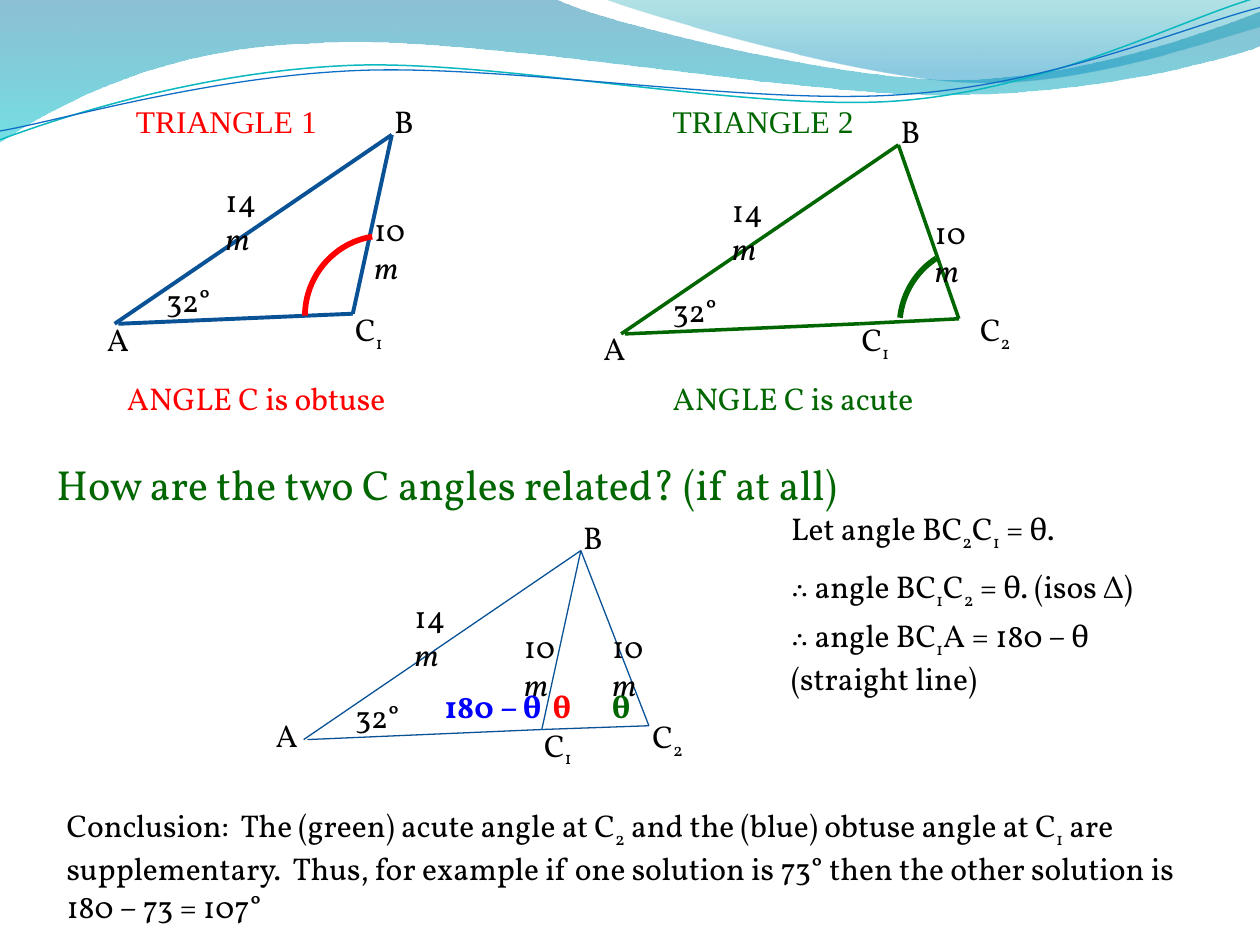
from math import cos, radians, sin

from pptx import Presentation
from pptx.dml.color import RGBColor
from pptx.enum.shapes import MSO_CONNECTOR, MSO_SHAPE
from pptx.enum.text import MSO_AUTO_SIZE
from pptx.oxml.ns import qn
from pptx.oxml.xmlchemy import OxmlElement
from pptx.util import Inches, Pt

COLORS = {
    "black": "000000", "red": "FF0000", "green": "006600", "blue": "0000FF",
    "navy": "095295", "wave_teal": "0AB8BF", "wave_blue": "0F6FC6",
    "deep": "0074A1", "cyan": "00C6CF", "teal": "00A1A9", "sky": "008BBF",
}
SERIF = "Vollkorn"
UNITS = 1000
WAVE_TILT = 2.7


def rgb(name):
    """Return the named colour."""
    return RGBColor.from_string(COLORS[name])


def add_text(page, left, top, width, spans, color="black", size=18,
             font=SERIF, bold=False, height=0.4):
    """Add a text box; a span led by _ is a subscript, one led by / is italic."""
    box = page.shapes.add_textbox(*map(Inches, (left, top, width, height)))
    frame = box.text_frame
    frame.word_wrap = True
    frame.auto_size = MSO_AUTO_SIZE.SHAPE_TO_FIT_TEXT
    para = frame.paragraphs[0]
    for text in spans:
        span = para.add_run()
        span.text = text.lstrip("_/")
        span.font.name, span.font.size = font, Pt(size)
        span.font.color.rgb = rgb(color)
        if bold:
            span.font.bold = True
        if text.startswith("/"):
            span.font.italic = True
        if text.startswith("_"):
            span.font._element.set("baseline", "-25000")


def add_side(page, start, end, color, weight):
    """Draw one straight side of a triangle."""
    side = page.shapes.add_connector(
        MSO_CONNECTOR.STRAIGHT, *map(Inches, (*start, *end)))
    side.line.color.rgb = rgb(color)
    side.line.width = Pt(weight)
    side._element.spPr.append(OxmlElement("a:effectLst"))


def add_angle_arc(page, left, top, rotation, angles, color):
    """Draw the arc that marks an angle."""
    arc = page.shapes.add_shape(
        MSO_SHAPE.ARC, *map(Inches, (left, top, 1.27, 1.29)))
    arc.shadow.inherit = False
    arc.adjustments[0], arc.adjustments[1] = angles
    arc.rotation = rotation
    arc._element.spPr.find(qn("a:xfrm")).set("flipH", "1")
    arc.fill.background()
    arc.line.color.rgb = rgb(color)
    arc.line.width = Pt(3.25)


def add_curve(page, start, pieces, close):
    """Add an outline of straight (one point) and cubic (three point) pieces."""
    def scaled(point):
        return tuple(round(value * UNITS) for value in point)

    builder = page.shapes.build_freeform(*scaled(start), scale=Inches(1) / UNITS)
    builder.add_line_segments(
        [scaled(point) for piece in pieces for point in piece], close=close)
    curve = builder.convert_to_shape()
    curve.shadow.inherit = False
    segments = iter(list(curve._element.spPr.iter(qn("a:lnTo"))))
    for piece in pieces:
        group = [next(segments) for _ in piece]
        if len(group) == 3:
            cubic = OxmlElement("a:cubicBezTo")
            group[0].addprevious(cubic)
            for segment in group:
                cubic.append(segment[0])
                segment.getparent().remove(segment)
    return curve


def add_swoosh(page, start, pieces, stops):
    """Add a translucent gradient band; stops hold position, colour, opacity."""
    band = add_curve(page, start, pieces, True)
    band.line.fill.background()
    band.fill.gradient()
    band.fill.gradient_angle = 270
    for stop, (position, color, _) in zip(band.fill.gradient_stops, stops):
        stop.position = position
        stop.color.rgb = rgb(color)
    for tag, (_, _, opacity) in zip(band._element.spPr.iter(qn("a:srgbClr")), stops):
        alpha = OxmlElement("a:alpha")
        alpha.set("val", str(opacity * 1000))
        tag.append(alpha)


def add_wave(page, center, start, pieces, color, weight):
    """Add a thin wavy line, drawn level and then tilted about its centre."""
    turn = radians(WAVE_TILT)

    def level(point):
        dx, dy = point[0] - center[0], point[1] - center[1]
        return (center[0] + dx * cos(turn) - dy * sin(turn),
                center[1] + dx * sin(turn) + dy * cos(turn))

    wave = add_curve(page, level(start),
                     [[level(point) for point in piece] for piece in pieces], False)
    wave.rotation = 360 - WAVE_TILT
    wave.fill.background()
    wave.line.color.rgb = rgb(color)
    wave.line.width = Pt(weight)


def add_header(page):
    """Draw the bands and waves at the top."""
    add_swoosh(page, (0, 0), [
        [(4.4, -0.01)],
        [(4.76, 0.17), (6.64, 0.63), (7.58, 0.63)],
        [(8.53, 0.63), (9.58, 0.26), (10, 0.09)],
        [(10.01, 0.36)],
        [(9.83, 0.44), (8.7, 0.76), (7.46, 0.75)],
        [(6.22, 0.75), (3.82, 0.28), (2.57, 0.34)],
        [(1.29, 0.36), (0.46, 0.83), (-0.01, 1.13)],
        [(0, 0)],
    ], [(0, "deep", 45), (1, "cyan", 55)])
    add_swoosh(page, (4.79, -0.01), [
        [(5.09, 0.11), (6.82, 0.62), (7.69, 0.65)],
        [(8.56, 0.69), (9.61, 0.32), (10, 0.21)],
        [(10, 0)],
        [(4.79, -0.01)],
    ], [(0, "teal", 30), (0.8, "sky", 45)])
    add_wave(page, (4.99, 0.57), (0, 1.11), [
        [(0.48, 0.93), (1.58, 0.57), (2.77, 0.52)],
        [(3.95, 0.47), (5.93, 0.89), (7.13, 0.8)],
        [(8.33, 0.71), (9.38, 0.15), (9.98, -0.02)],
    ], "wave_teal", 0.85)
    add_wave(page, (5, 0.59), (0, 1.04), [
        [(0.47, 0.96), (1.64, 0.61), (2.83, 0.56)],
        [(4.03, 0.51), (5.97, 0.84), (7.17, 0.75)],
        [(8.36, 0.67), (9.41, 0.21), (10, 0.06)],
    ], "wave_blue", 0.75)


def add_triangle(page, dx, dy, color, weight, label_a, tens, inner=True, outer=None):
    """Draw a labelled triangle; outer is the C₂ corner and its label place."""
    def shift(x, y):
        return x + dx, y + dy

    b, c1 = shift(3.11, 1.07), shift(2.8, 2.49)
    sides = [(shift(0.91, 2.57), b), (shift(0.94, 2.57), c1)]
    if inner:
        sides.append((b, c1))
    if outer:
        c2, label_c2 = outer
        sides += [(c1, c2), (b, c2)]
        add_text(page, *label_c2, 0.47, ["C", "_2"])
    for start, end in sides:
        add_side(page, start, end, color, weight)
    add_text(page, *label_a, 0.47, ["A"])
    add_text(page, *shift(3.03, 0.76), 0.47, ["B"])
    add_text(page, *shift(2.72, 2.41), 0.47, ["C", "_1"])
    add_text(page, *shift(1.22, 2.18), 0.87, ["32°"])
    for place, length in [(shift(1.69, 1.39), "14"), *((ten, "10") for ten in tens)]:
        add_text(page, *place, 0.62, [length, "/m"])


def main():
    """Build the slide."""
    deck = Presentation()
    deck.slide_width, deck.slide_height = Inches(10), Inches(7.5)
    page = deck.slides.add_slide(deck.slide_layouts[6])
    add_header(page)

    add_triangle(page, 0, 0, "navy", 2.25, (0.75, 2.49), [(2.87, 1.62)])
    add_triangle(page, 4.02, 0.08, "green", 2, (4.69, 2.56), [(7.32, 1.64)],
                 inner=False, outer=((7.61, 2.53), (7.68, 2.41)))
    add_triangle(page, 1.5, 3.3, "navy", 0.75, (2.09, 5.63),
                 [(4.06, 4.93), (4.76, 4.93)],
                 outer=((5.15, 5.76), (5.08, 5.64)))
    add_angle_arc(page, 2.42, 1.87, 351, (162, 210.07), "red")
    add_angle_arc(page, 7.14, 1.95, 348.5, (174.5, 205.16), "green")

    for number, left, caption_left, kind, color in (
            (1, 0.98, 0.91, "obtuse", "red"), (2, 5.24, 5.24, "acute", "green")):
        add_text(page, left, 0.76, 1.81, [f"TRIANGLE {number}"], color,
                 font="Times New Roman")
        add_text(page, caption_left, 2.96, 2.44, [f"ANGLE C is {kind}"], color)
    add_text(page, 0.35, 3.59, 6.46, ["How are the two C angles related? (if at all)"],
             "green", size=24, height=0.5)

    for left, width, label, color in (
            (4.76, 0.79, "θ", "green"), (4.29, 0.79, "θ", "red"),
            (3.43, 1.1, "180 – θ", "blue")):
        add_text(page, left, 5.4, width, [label], color, bold=True)

    for top, height, spans in (
            (3.99, 0.4, ["Let angle BC", "_2", "C", "_1", " = θ."]),
            (4.45, 0.4, ["∴ angle BC", "_1", "C", "_2", " = θ. (isos Δ)"]),
            (4.84, 0.71, ["∴ angle BC", "_1", "A = 180 – θ (straight line)"])):
        add_text(page, 6.18, top, 3.15, spans, height=height)
    add_text(page, 0.43, 6.35, 9.13, [
        "Conclusion:  The (green) acute angle at C", "_2",
        " and the (blue) obtuse angle at C", "_1",
        " are supplementary.  Thus, for example if one solution is 73° then "
        "the other solution is 180 – 73 = 107°"], height=1.01)
    deck.save("out.pptx")


if __name__ == "__main__":
    main()
